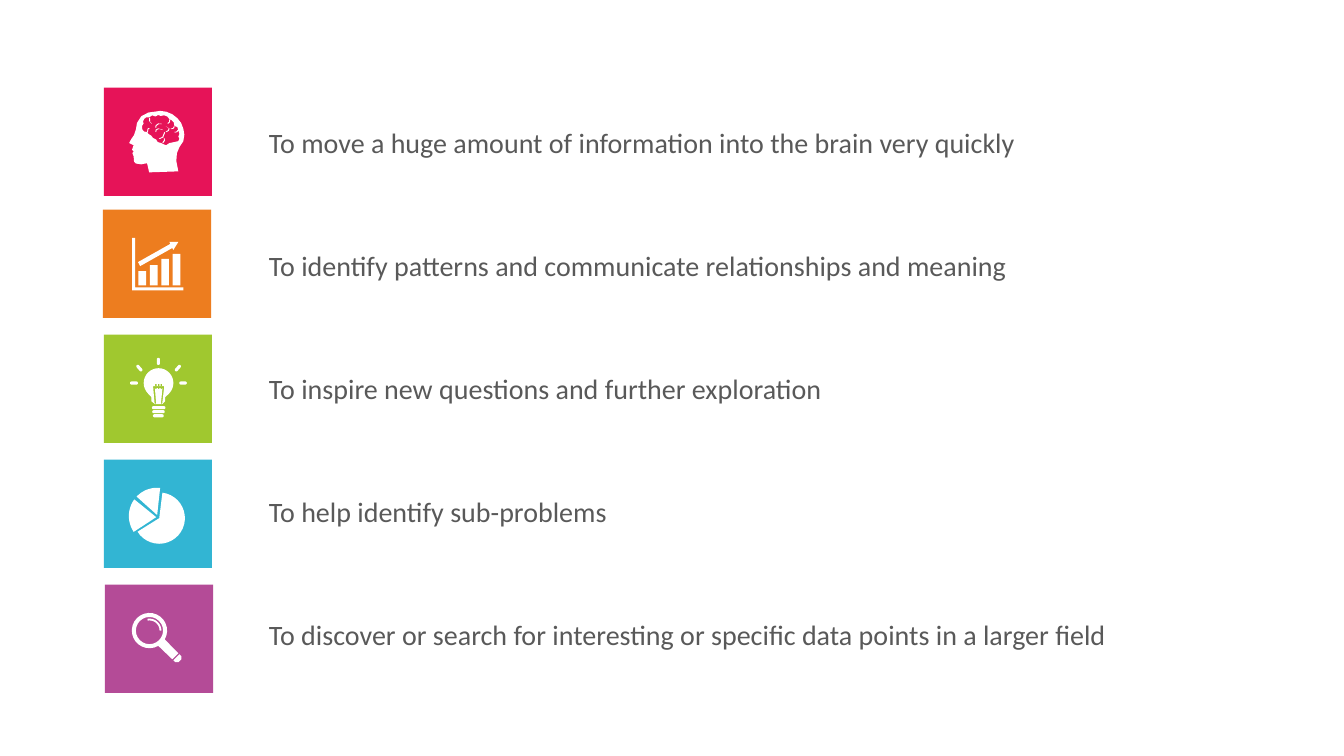
from math import atan2, cos, degrees, radians, sin

from pptx import Presentation
from pptx.dml.color import RGBColor
from pptx.enum.shapes import MSO_SHAPE
from pptx.enum.text import MSO_AUTO_SIZE
from pptx.util import Pt

COLORS = {
    "pink": "E61358",
    "orange": "ED7D1F",
    "green": "A0C82F",
    "blue": "32B5D3",
    "purple": "B44B97",
    "icon": "FFFFFF",
    "text": "595959",
}
SQUARE = 77.3
TEXT_LEFT, TEXT_TOP, TEXT_PITCH, TEXT_HEIGHT = 185.04, 86.4, 87.84, 31.5
UNITS_PER_POINT = 100


def arc(center_x, center_y, radius, start, end, steps=24):
    """Points along an arc, in degrees, clockwise on the slide."""
    angles = [radians(start + (end - start) * step / steps) for step in range(steps + 1)]
    return [(center_x + radius * cos(a), center_y + radius * sin(a)) for a in angles]


def box(left, top, width, height):
    return [(left, top), (left + width, top),
            (left + width, top + height), (left, top + height)]


# Head icon: profile, brain opening and the furrows inside it
head = [
    (114.5, 79.2), (118.8, 79.8), (123.1, 81.6), (126.7, 84.4), (129.4, 87.8),
    (131, 92), (131.7, 96.2), (131, 100.8), (128.2, 105.1), (126.4, 109.4),
    (126, 115), (127.4, 122.4), (106.6, 123.1), (105.1, 116.6), (100.8, 117.4),
    (97.2, 116.8), (95.8, 115.5), (95.5, 111.6), (94.6, 109.4), (95.6, 108),
    (94.3, 107.1), (95.5, 103.7), (92.3, 102.2), (93.7, 99.5), (95.8, 96.5),
    (97.1, 92.5), (97.9, 87.8), (101, 83), (106, 80.4),
]
brain = [
    (113, 82.1), (111.2, 83.2), (108.7, 82.4), (106.6, 83.9), (104.4, 83.9),
    (103, 85), (102.2, 86.8), (102.6, 88.2), (101.5, 90), (101.7, 92.5),
    (103, 94), (105.1, 94.3), (106.2, 95.8), (108, 96.8), (109.4, 98.6),
    (111.6, 99.7), (112.7, 101.5), (115.2, 102.2), (117.4, 103.3), (118.8, 103.7),
    (121, 102.2), (124.6, 101.5), (127.4, 100.8), (128.2, 99), (127.4, 97.6),
    (128.2, 95.8), (127.4, 92.9), (126.7, 90.7), (124.6, 90), (124.2, 87.5),
    (122.4, 85.7), (121, 85), (119.5, 83.2), (117.4, 82.4), (114.8, 82.8),
]
furrows = [
    [(106.6, 84.2), (106.6, 86.5), (108, 88)],
    [(105.1, 94), (105.5, 91.8), (106.4, 91.4)],
    [(111, 94), (111.3, 92.5), (113, 91.7), (115.9, 92.5)],
    [(111, 91), (111.2, 89.5), (113, 88.2), (115.2, 88.3)],
    [(121, 85.2), (120.8, 87), (119.6, 88)],
    [(118.4, 94), (120.1, 93), (120.6, 91.5), (118.4, 90.2)],
    [(122, 91.8), (123.5, 91.5), (124.2, 90.2)],
    [(124.5, 94.3), (126, 94), (127, 92.8)],
    [(113.5, 98.9), (116, 97.8), (117.4, 94.3)],
    [(117, 98.5), (117.3, 100), (116, 101.8)],
]
head_icon = [head, brain] + [
    furrow + [(x + 0.6, y + 0.4) for x, y in reversed(furrow)] for furrow in furrows
]

# Growth icon: axes, arrow and four bars
axes = [(94.3, 169.9), (96.5, 169.9), (96.5, 205.2), (131, 205.2), (131, 207.4), (94.3, 207.4)]
arrow = [(121, 172.8), (127.4, 172.8), (123.8, 178.6), (123.1, 177.1),
         (100.1, 190.1), (98.6, 187.2), (121.7, 174.2)]
growth_icon = [axes, arrow] + [
    box(98.8 + 8.2 * number, top, 5.5, 203.8 - top)
    for number, top in enumerate((193.7, 189.4, 185, 181.4))
]

# Bulb icon: glass, filament opening, screw base and rays
bulb = arc(113.3, 273.6, 10.6, 135, 405) + [
    (118.1, 283.7), (118.1, 286.6), (115.9, 288.7),
    (110.7, 288.7), (108.2, 286.6), (108.2, 283.7),
]
filament = [(109.4, 275.8), (117.4, 275.8), (115.9, 288.4), (115, 288.4),
            (116.1, 277.2), (110.7, 277.2), (111.6, 288.4), (110.5, 288.4)]
coils = [box(left, top, 1.1, height)
         for left in (110.9, 112.8, 114.8)
         for top, height in ((274.3, 1.5), (277.2, 0.8))]
rounded_bars = [
    (109.7, 291.2, 117.1, 291.2), (109.9, 294.1, 116.6, 294.1), (110.4, 297, 115.9, 297),
    (94, 273.6, 97.5, 273.6), (129.2, 273.6, 132.4, 273.6), (113.2, 256.7, 113.2, 259.6),
    (128.2, 261.7, 126, 264.2), (98.5, 261.7, 100.7, 264.2),
]
bulb_icon = [bulb, filament] + coils
for x1, y1, x2, y2 in rounded_bars:
    angle = degrees(atan2(y2 - y1, x2 - x1))
    bulb_icon.append(arc(x1, y1, 1.1, angle + 90, angle + 270)
                     + arc(x2, y2, 1.1, angle - 90, angle + 90))

# Pie icon: three slices
pie_icon = [
    [(111.6, 369.4)] + arc(112.3, 368.6, 20.2, 146, 216),
    [(113.8, 370.1)] + arc(113.8, 370.1, 18.3, -83, 148),
    [(112.3, 367.9)] + arc(112.3, 368.6, 20.2, 223.5, 276),
]

# Magnifier icon: rim with handle, lens opening, glint and handle end
magnifier_icon = [
    arc(106.8, 450.4, 12.6, 60, 390) + [(127.4, 466.6), (123.1, 470.9)],
    arc(106.8, 450.4, 9.7, 0, 360),
    arc(106.8, 450.4, 8.5, -100, 0) + arc(106.8, 450.4, 7.2, 0, -100),
    [(128.2, 467.3), (129.6, 468.7), (129.6, 470.9), (127.4, 473), (125.3, 473), (123.8, 471.6)],
]

# Rows: colour, square left and top, text width, text, icon
rows = [
    ("pink", 74.16, 62.64, 632.2,
     "To move a huge amount of information into the brain very quickly", head_icon),
    ("orange", 73.44, 149.76, 625.7,
     "To identify patterns and communicate relationships and meaning", growth_icon),
    ("green", 74.16, 239.04, 625.7,
     "To inspire new questions and further exploration", bulb_icon),
    ("blue", 74.16, 328.32, 625.7, "To help identify sub-problems", pie_icon),
    ("purple", 74.88, 417.6, 727.2,
     "To discover or search for interesting or specific data points in a larger field",
     magnifier_icon),
]

presentation = Presentation()
presentation.slide_width, presentation.slide_height = Pt(960), Pt(540)
slide = presentation.slides.add_slide(presentation.slide_layouts[6])

for index, (color, left, top, text_width, text, icon) in enumerate(rows):
    group = slide.shapes.add_group_shape()

    # Coloured square
    square = group.shapes.add_shape(
        MSO_SHAPE.RECTANGLE, Pt(left), Pt(top), Pt(SQUARE), Pt(SQUARE))

    # Row text
    text_box = group.shapes.add_textbox(
        Pt(TEXT_LEFT), Pt(TEXT_TOP + TEXT_PITCH * index), Pt(text_width), Pt(TEXT_HEIGHT))
    frame = text_box.text_frame
    frame.word_wrap = True
    frame.auto_size = MSO_AUTO_SIZE.SHAPE_TO_FIT_TEXT
    run = frame.paragraphs[0].add_run()
    run.text = text
    run.font.name = "Calibri"
    run.font.size = Pt(20)
    run.font.color.rgb = RGBColor.from_string(COLORS["text"])

    # White icon
    contours = [[(x * UNITS_PER_POINT, y * UNITS_PER_POINT) for x, y in contour]
                for contour in icon]
    builder = group.shapes.build_freeform(*contours[0][0], scale=Pt(1) / UNITS_PER_POINT)
    for number, contour in enumerate(contours):
        if number:
            builder.move_to(*contour[0])
        builder.add_line_segments(contour[1:], close=True)
    icon_shape = builder.convert_to_shape()

    for shape, fill in ((square, color), (icon_shape, "icon")):
        shape.shadow.inherit = False
        shape.fill.solid()
        shape.fill.fore_color.rgb = RGBColor.from_string(COLORS[fill])
        shape.line.fill.background()

presentation.save("out.pptx")
